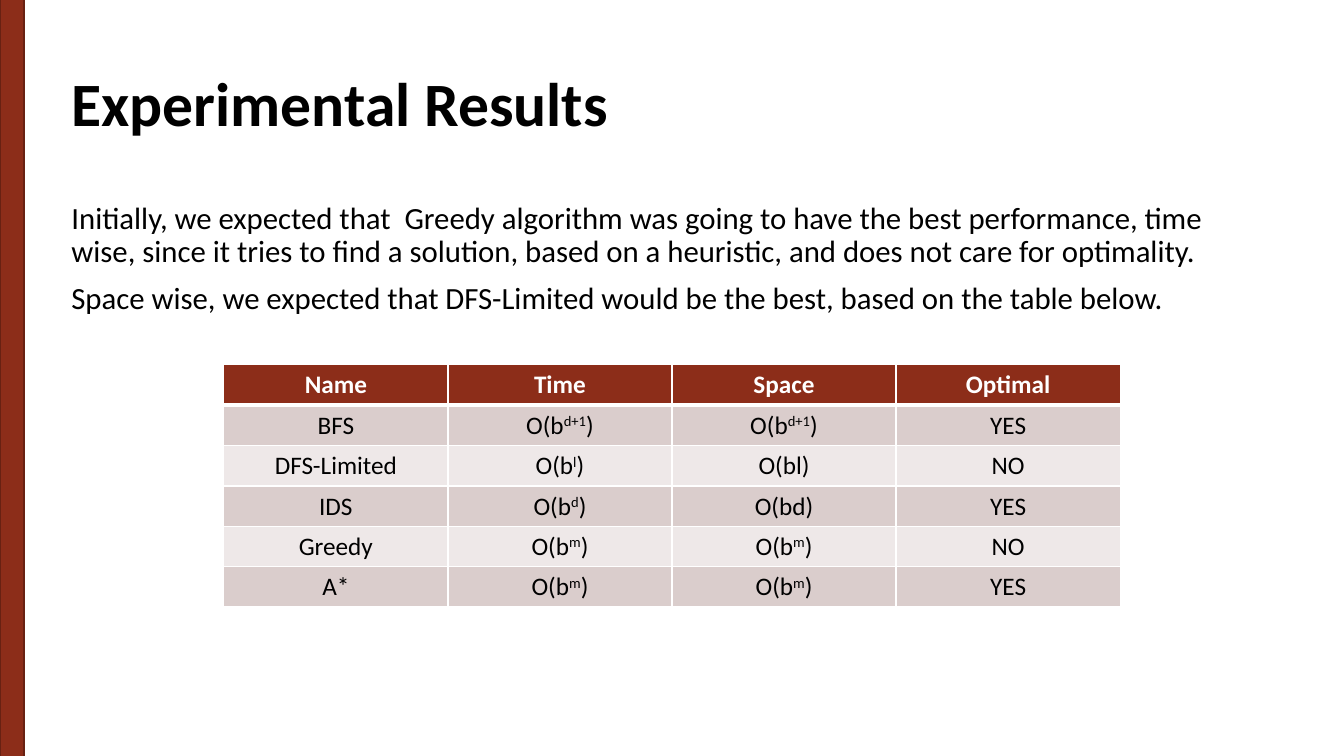
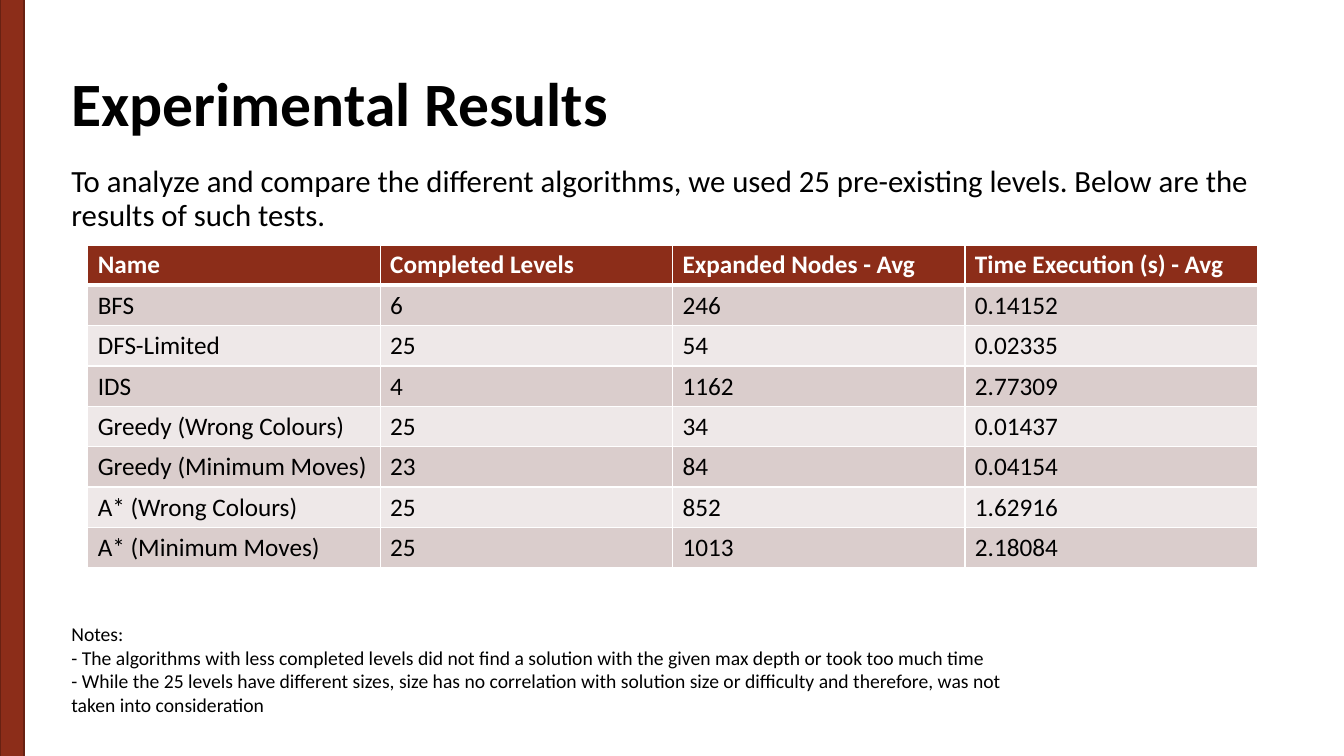
"""Build two slides on the experimental results of search algorithms."""
from dataclasses import dataclass

from lxml import etree
from pptx import Presentation
from pptx.dml.color import RGBColor
from pptx.enum.shapes import MSO_SHAPE
from pptx.enum.text import MSO_ANCHOR, PP_ALIGN
from pptx.oxml.ns import qn
from pptx.util import Inches, Pt

RECTANGLE = MSO_SHAPE.RECTANGLE
TOP, MIDDLE = MSO_ANCHOR.TOP, MSO_ANCHOR.MIDDLE
LEFT, CENTER = PP_ALIGN.LEFT, PP_ALIGN.CENTER
BLANK_LAYOUT = 6


@dataclass(frozen=True)
class Theme:
    """Colours, font and type sizes shared by the slides."""
    accent: str = "8C2D19"
    accent_edge: str = "682112"
    band_dark: str = "DACDCC"
    band_light: str = "EEE8E8"
    ink: str = "000000"
    paper: str = "FFFFFF"
    font: str = "Calibri"
    title_size: int = 44
    body_size: int = 22
    table_size: int = 18
    note_size: int = 14
    grid_width: int = 1
    header_rule: int = 3
    margin: float = 0.61
    row_height: float = 0.4


THEME = Theme()

TITLE = "Experimental Results"
EXPECTATIONS = [
    "Initially, we expected that  Greedy algorithm was going to have the best "
    "performance, time wise, since it tries to find a solution, based on a "
    "heuristic, and does not care for optimality.",
    "Space wise, we expected that DFS-Limited would be the best, based on the "
    "table below.",
]
COMPLEXITY = [
    ("Name", "Time", "Space", "Optimal"),
    ("BFS", "O(b^d+1^)", "O(b^d+1^)", "YES"),
    ("DFS-Limited", "O(b^l^)", "O(bl)", "NO"),
    ("IDS", "O(b^d^)", "O(bd)", "YES"),
    ("Greedy", "O(b^m^)", "O(b^m^)", "NO"),
    ("A*", "O(b^m^)", "O(b^m^)", "YES"),
]
TEST_SETUP = [
    "To analyze and compare the different algorithms, we used 25 pre-existing "
    "levels. Below are the results of such tests.",
]
TEST_RESULTS = [
    ("Name", "Completed Levels", "Expanded Nodes - Avg", "Time Execution (s) - Avg"),
    ("BFS", "6", "246", "0.14152"),
    ("DFS-Limited", "25", "54", "0.02335"),
    ("IDS", "4", "1162", "2.77309"),
    ("Greedy (Wrong Colours)", "25", "34", "0.01437"),
    ("Greedy (Minimum Moves)", "23", "84", "0.04154"),
    ("A* (Wrong Colours)", "25", "852", "1.62916"),
    ("A* (Minimum Moves)", "25", "1013", "2.18084"),
]
NOTES = [
    "Notes:",
    "- The algorithms with less completed levels did not find a solution with "
    "the given max depth or took too much time",
    "- While the 25 levels have different sizes, size has no correlation with "
    "solution size or difficulty and therefore, was not taken into consideration",
]


def write_text(frame, paragraphs, *, size, color=THEME.ink, bold=False,
               align=LEFT, line_spacing=1.0, space_before=0):
    """Fill a text frame; text between carets is set as superscript."""
    for index, text in enumerate(paragraphs):
        para = frame.paragraphs[0] if index == 0 else frame.add_paragraph()
        para.alignment = align
        para.line_spacing = line_spacing
        para.space_before = Pt(space_before)
        for part, piece in enumerate(text.split("^")):
            span = para.add_run()
            span.text = piece
            span.font.name = THEME.font
            span.font.size = Pt(size)
            span.font.bold = bold
            span.font.color.rgb = RGBColor.from_string(color)
            if part % 2:
                span.font._element.set("baseline", "30000")


def add_text(page, left, top, width, height, paragraphs, anchor=TOP, **style):
    """Add a wrapping text box."""
    box = page.shapes.add_textbox(
        Inches(left), Inches(top), Inches(width), Inches(height))
    box.text_frame.word_wrap = True
    box.text_frame.vertical_anchor = anchor
    write_text(box.text_frame, paragraphs, **style)


def add_body(page, top, paragraphs):
    """Add the body text under the title."""
    add_text(page, THEME.margin, top, 12.11, 4.76, paragraphs,
             size=THEME.body_size, line_spacing=0.9, space_before=10)


def add_side_band(page):
    """Add the coloured band along the left edge."""
    band = page.shapes.add_shape(
        RECTANGLE, Inches(0), Inches(-0.04), Inches(0.24), Inches(7.58))
    band.shadow.inherit = False
    band.fill.solid()
    band.fill.fore_color.rgb = RGBColor.from_string(THEME.accent)
    band.line.color.rgb = RGBColor.from_string(THEME.accent_edge)
    band.line.width = Pt(1)


def add_page(deck, body_top, body):
    """Add a slide with body text, title and side band."""
    page = deck.slides.add_slide(deck.slide_layouts[BLANK_LAYOUT])
    add_body(page, body_top, body)
    add_text(page, THEME.margin, 0.33, 11.5, 1.45, [TITLE], MIDDLE,
             size=THEME.title_size, bold=True, line_spacing=0.9)
    add_side_band(page)
    return page


def set_borders(cell, top, bottom):
    """Draw the grid lines of a cell, with widths in points."""
    properties = cell._tc.get_or_add_tcPr()
    widths = {"L": THEME.grid_width, "R": THEME.grid_width, "T": top, "B": bottom}
    for side, width in widths.items():
        line = etree.SubElement(properties, qn(f"a:ln{side}"), w=str(Pt(width)))
        fill = etree.SubElement(line, qn("a:solidFill"))
        etree.SubElement(fill, qn("a:srgbClr"), val=THEME.paper)


def add_grid(page, left, top, width, rows, align=LEFT):
    """Add a table with a header row and alternating bands."""
    columns = len(rows[0])
    table = page.shapes.add_table(
        len(rows), columns, Inches(left), Inches(top), Inches(width),
        Inches(THEME.row_height * len(rows))).table
    table.horz_banding = False
    for row, values in enumerate(rows):
        header = row == 0
        band = THEME.band_dark if row % 2 else THEME.band_light
        for column, text in enumerate(values):
            cell = table.cell(row, column)
            set_borders(cell,
                        THEME.header_rule if row == 1 else THEME.grid_width,
                        THEME.header_rule if header else THEME.grid_width)
            cell.fill.solid()
            cell.fill.fore_color.rgb = RGBColor.from_string(
                THEME.accent if header else band)
            write_text(cell.text_frame, [text], size=THEME.table_size,
                       color=THEME.paper if header else THEME.ink,
                       bold=header, align=align)


def main():
    """Build the slides and save the deck."""
    deck = Presentation()
    deck.slide_width, deck.slide_height = Inches(13.33), Inches(7.5)

    expectations = add_page(deck, 1.96, EXPECTATIONS)
    add_grid(expectations, 2.22, 3.62, 8.89, COMPLEXITY, CENTER)

    results = add_page(deck, 1.6, TEST_SETUP)
    add_grid(results, 0.87, 2.43, 11.6, TEST_RESULTS)
    add_text(results, THEME.margin, 6.12, 9.87, 1.04, NOTES, MIDDLE,
             size=THEME.note_size)

    deck.save("out.pptx")


if __name__ == "__main__":
    main()
